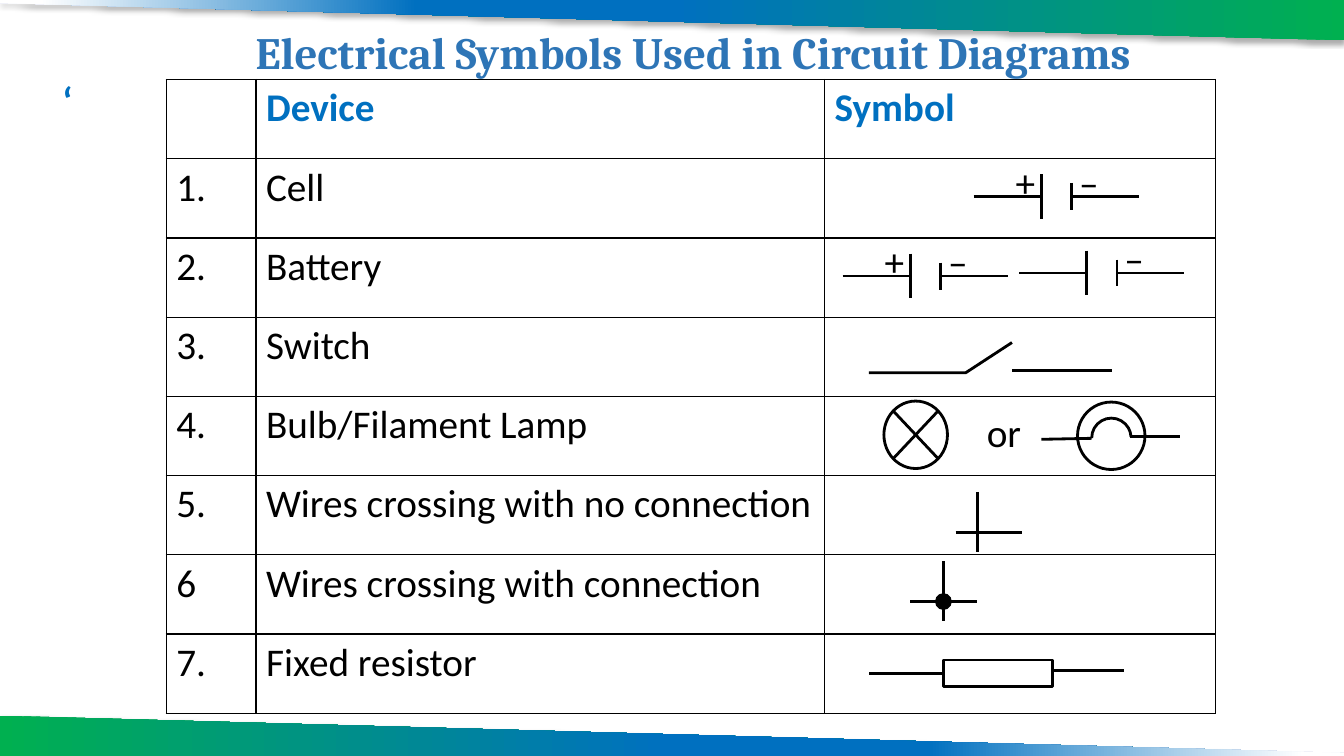
from dataclasses import dataclass

from lxml.etree import SubElement as sub
from pptx import Presentation
from pptx.dml.color import RGBColor as RGB
from pptx.enum.shapes import MSO_CONNECTOR as WIRE, MSO_SHAPE as SHAPE
from pptx.enum.text import MSO_ANCHOR as ANCHOR, PP_ALIGN as ALIGN
from pptx.oxml.ns import qn
from pptx.util import Pt


@dataclass(frozen=True)
class Theme:
    """Colours, fonts and sizes of the slide."""
    ink: str = "000000"
    head: str = "0070C0"
    title: str = "2E75B6"
    fade: tuple = ((0, "00B050"), (50, "0070C0"), (69, "0070C0"), (97, "FFFFFF"))
    font: str = "Calibri"
    serif: str = "Cambria"
    size: float = 28
    large: float = 32
    line: float = 2
    edge: float = 1


@dataclass(frozen=True)
class Box:
    """A region in points."""
    x: float
    y: float
    w: float
    h: float

    def inner(self, x, y, w, h):
        """Return a box placed relative to this one."""
        return Box(self.x + x, self.y + y, w, h)

    def pts(self):
        """Return left, top, width and height as lengths."""
        return Pt(self.x), Pt(self.y), Pt(self.w), Pt(self.h)


LOOK = Theme()
COLS = 64.1, 406.1, 279.4
ROW = 56.6
DATA = (
    ("", "Device", "Symbol"),
    ("1.", "Cell", ""),
    ("2.", "Battery", ""),
    ("3.", "Switch", ""),
    ("4.", "Bulb/Filament Lamp", ""),
    ("5.", "Wires crossing with no connection", ""),
    ("6", "Wires crossing with connection", ""),
    ("7.", "Fixed resistor", ""),
)


def write(frame, text, size=LOOK.size, color=LOOK.ink, font=LOOK.font,
          bold=False, align=ALIGN.LEFT, space=None):
    """Put formatted text in a frame."""
    para = frame.paragraphs[0]
    para.alignment, para.line_spacing = align, space
    run = para.add_run()
    run.text = text
    run.font.size, run.font.name, run.font.bold = Pt(size), font, bold
    run.font.color.rgb = RGB.from_string(color)


def label(art, box, text, pad=True, anchor=ANCHOR.TOP, **style):
    """Add a text box, with or without inner margins."""
    frame = art.add_textbox(*box.pts()).text_frame
    frame.word_wrap, frame.vertical_anchor = pad, anchor
    if not pad:
        frame.margin_left = frame.margin_right = 0
        frame.margin_top = frame.margin_bottom = 0
    write(frame, text, **style)


def ink(shape, width=LOOK.line, fill=None):
    """Outline a shape and fill it or leave it open."""
    shape.shadow.inherit = False
    shape.line.color.rgb = RGB.from_string(LOOK.ink)
    shape.line.width = Pt(width)
    if fill:
        shape.fill.solid()
        shape.fill.fore_color.rgb = RGB.from_string(fill)
    else:
        shape.fill.background()
    return shape


def wire(art, box, x1, y1, x2, y2):
    """Draw a straight line relative to a box."""
    ends = box.x + x1, box.y + y1, box.x + x2, box.y + y2
    line = art.add_connector(WIRE.STRAIGHT, *map(Pt, ends))
    line.line.color.rgb = RGB.from_string(LOOK.ink)
    line.line.width = Pt(LOOK.line)
    sub(line.element.spPr, qn("a:effectLst"))


def form(art, box, kind, **style):
    """Draw a preset shape in a box."""
    return ink(art.add_shape(kind, *box.pts()), **style)


def trace(art, spots, close):
    """Build an outline through points on the slide."""
    spots = [(Pt(x), Pt(y)) for x, y in spots]
    shape = art.build_freeform(*spots[0], scale=1.0)
    shape.add_line_segments(spots[1:], close=close)
    return shape.convert_to_shape()


def band(art, spots, angle):
    """Draw a shaded band with a soft shadow."""
    shape = trace(art, spots, True)
    shape.line.fill.background()
    shape.fill.gradient()
    shape.fill.gradient_angle = angle
    props = shape.element.spPr
    stops = props.find(qn("a:gradFill")).find(qn("a:gsLst"))
    for stop in list(stops):
        stops.remove(stop)
    for place, color in LOOK.fade:
        stop = sub(stops, qn("a:gs"), pos=str(place * 1000))
        sub(stop, qn("a:srgbClr"), val=color)
    shape.shadow.inherit = False
    shade = sub(props.find(qn("a:effectLst")), qn("a:outerShdw"),
                blurRad=str(Pt(3.5)), dist=str(Pt(2.2)), dir="5400000")
    tint = sub(shade, qn("a:srgbClr"), val=LOOK.ink)
    sub(tint, qn("a:alpha"), val="32000")


def rule(cell):
    """Give a table cell thin borders and no fill."""
    props = cell._tc.get_or_add_tcPr()
    for side in "LRTB":
        line = sub(props, qn("a:ln" + side), w=str(Pt(LOOK.edge)))
        sub(sub(line, qn("a:solidFill")), qn("a:srgbClr"), val=LOOK.ink)
    cell.fill.background()


def grid(art, box):
    """Add the table of devices."""
    table = art.add_table(len(DATA), len(COLS), *box.pts()).table
    table.first_row = table.horz_banding = False
    for col, width in zip(table.columns, COLS):
        col.width = Pt(width)
    for r, row in enumerate(DATA):
        table.rows[r].height = Pt(ROW)
        for c, text in enumerate(row):
            cell = table.cell(r, c)
            rule(cell)
            if text:
                write(cell.text_frame, text, bold=r == 0,
                      color=LOOK.ink if r else LOOK.head)


def power(art, box, x=106.5, y=26.9, plus=True):
    """Draw one cell, its wire starting at x, y."""
    spot = box.inner(x, y, 19.4, 33.8)
    wire(art, spot, 48.2, -16, 48.2, 16)
    wire(art, spot, 70, -9.6, 70, 9.6)
    wire(art, spot, 70, 0, 118.1, 0)
    wire(art, spot, 0, 0, 48.2, 0)
    signs = ((30, "+"), (75.3, "–")) if plus else ((75.3, "–"),)
    for left, sign in signs:
        label(art, spot.inner(left, -27.4, 19.4, 33.8), sign, pad=False)


def pair(art, box):
    """Draw a battery of two cells."""
    power(art, box, 12.9, 27.2)
    power(art, box, 138.9, 25, plus=False)


def switch(art, box):
    """Draw an open switch."""
    spots = (31.6, 39.7), (100.8, 39.7), (133.9, 18.1)
    ink(trace(art, [(box.x + x, box.y + y) for x, y in spots], False))
    wire(art, box, 133.9, 38.3, 205.2, 38.3)


def lamp(art, box):
    """Draw both lamp symbols."""
    form(art, box.inner(42.4, 3.3, 45.4, 48.2), SHAPE.FLOWCHART_SUMMING_JUNCTION)
    form(art, box.inner(180.7, 4, 48.2, 48.2), SHAPE.OVAL)
    arc = form(art, box.inner(190.8, 15.5, 28.1, 28.1), SHAPE.ARC)
    arc.adjustments[0], arc.adjustments[1] = 107.64, 214.23
    wire(art, box, 218.1, 28.5, 254.1, 28.5)
    wire(art, box, 154.8, 30.6, 190.8, 29.9)
    label(art, box.inner(115.9, 8.3, 34.6, 33.8), "or", pad=False)


def cross(art, box, x=109.4, y=40.3, left=15.8):
    """Draw two wires that cross at x, y."""
    wire(art, box, x, y - 28.8, x, y + 14.2)
    wire(art, box, x - left, y, x - left + 47.5, y)


def joint(art, box):
    """Draw two wires joined by a dot."""
    cross(art, box, 84.9, 33.3, 23.7)
    form(art, box.inner(79.4, 27.8, 11, 11), SHAPE.FLOWCHART_CONNECTOR,
         width=LOOK.edge, fill=LOOK.ink)


def fixed(art, box):
    """Draw a fixed resistor."""
    form(art, box.inner(84.9, 18.5, 77.8, 18.7), SHAPE.RECTANGLE)
    wire(art, box, 162.7, 25.7, 213.8, 25.7)
    wire(art, box, 84.9, 27.9, 31.6, 27.9)


def main():
    """Build and save the slide."""
    deck = Presentation()
    deck.slide_width, deck.slide_height = Pt(960), Pt(540)
    art = deck.slides.add_slide(deck.slide_layouts[6]).shapes
    band(art, ((0, 0), (960, 0), (960, 28.8), (0, 2.2)), 180)
    band(art, ((960, 540), (0, 540), (0, 511.2), (960, 537.8)), 0)
    label(art, Box(92.9, 10.1, 805, 58.3), "Electrical Symbols Used in Circuit Diagrams",
          anchor=ANCHOR.MIDDLE, size=LOOK.large, color=LOOK.title,
          font=LOOK.serif, bold=True, align=ALIGN.CENTER, space=0.9)
    label(art, Box(37.4, 54.7, 910.8, 463.7), "‘", color=LOOK.head, bold=True, space=0.9)
    box = Box(118.8, 56.8, sum(COLS), ROW * len(DATA))
    grid(art, box)
    signs = power, pair, switch, lamp, cross, joint, fixed
    for row, sign in enumerate(signs, 1):
        sign(art, box.inner(sum(COLS[:2]), row * ROW, COLS[2], ROW))
    deck.save("out.pptx")


if __name__ == "__main__":
    main()
